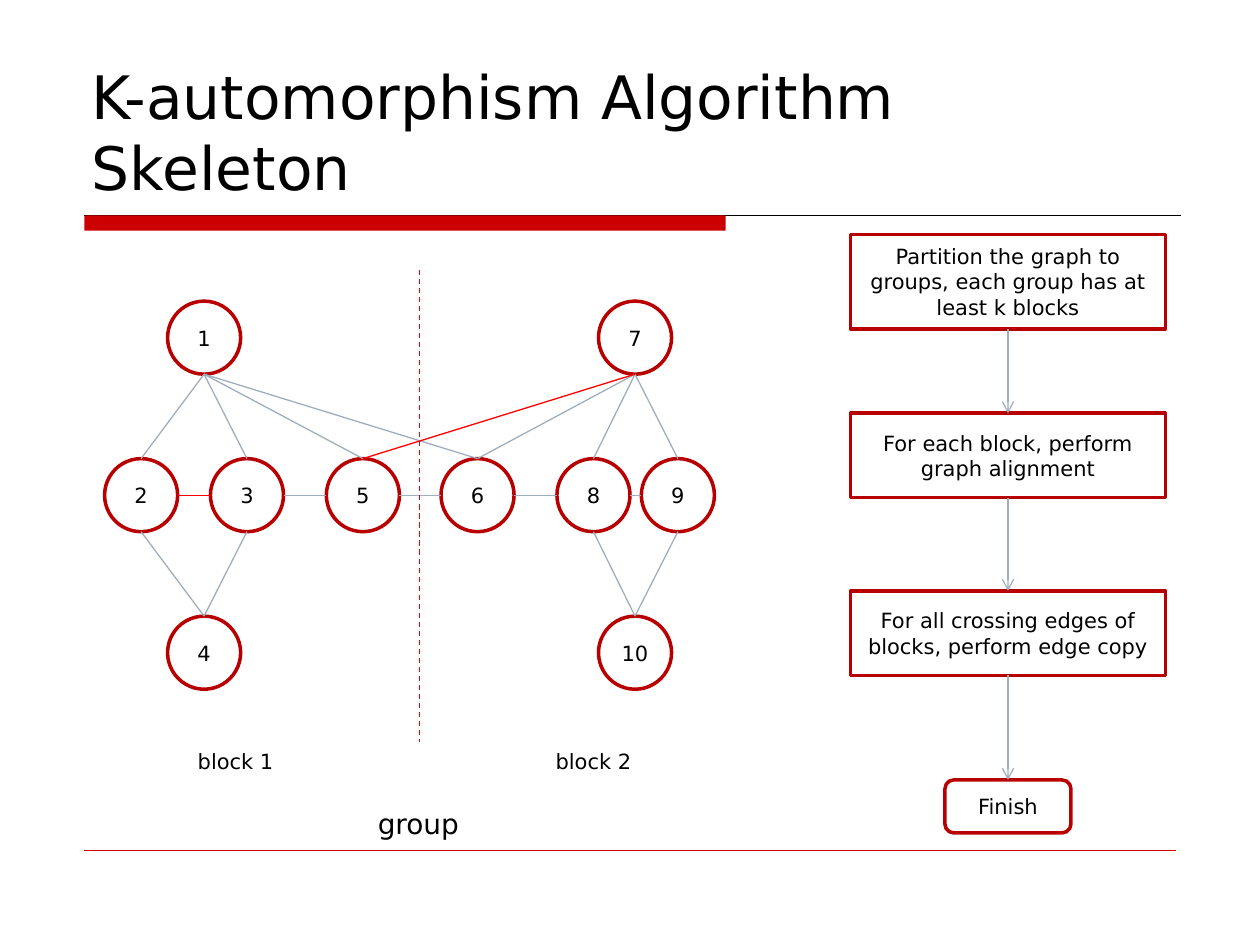
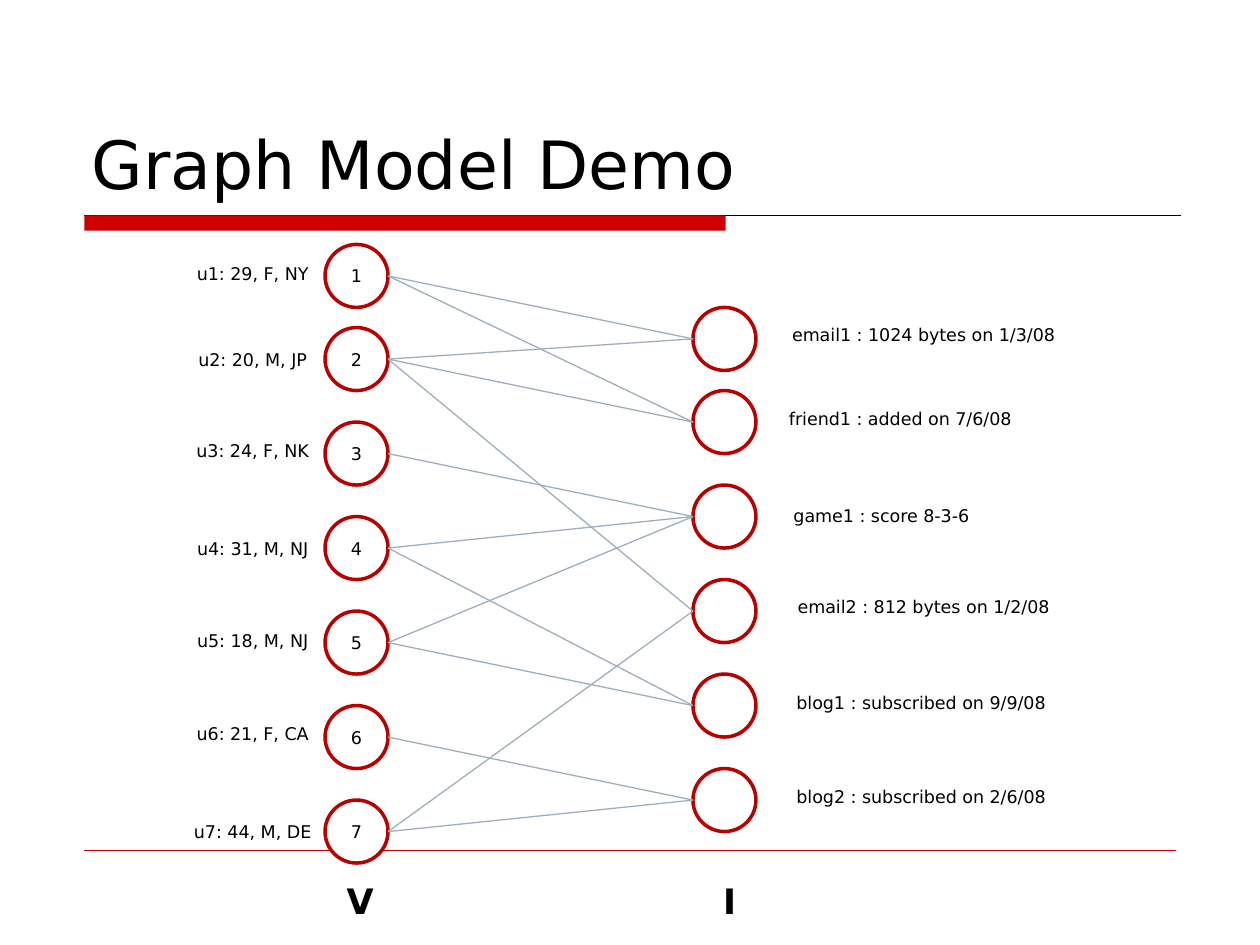
from lxml import etree
from pptx import Presentation
from pptx.dml.color import RGBColor
from pptx.enum import dml, shapes, text
from pptx.oxml.ns import qn
from pptx.util import Inches, Pt

# Shared look
FONT = "DejaVu Sans"
BLACK = RGBColor(0x00, 0x00, 0x00)
WHITE = RGBColor(0xFF, 0xFF, 0xFF)
BAND_RED = RGBColor(0xCC, 0x00, 0x00)
OUTLINE_RED = RGBColor(0xB9, 0x00, 0x00)
BRIGHT_RED = RGBColor(0xFF, 0x00, 0x00)
EDGE_GREY = RGBColor(0x9F, 0xAE, 0xBD)
SHAPE = shapes.MSO_SHAPE

# Slide 1: two mirrored blocks of a graph, and the steps of the algorithm
ROWS = {"top": 2.68, "middle": 3.93, "bottom": 5.18}
GRAPH_NODES = {
    1: (1.62, "top"), 2: (1.12, "middle"), 3: (1.96, "middle"),
    4: (1.62, "bottom"), 5: (2.88, "middle"), 6: (3.79, "middle"),
    7: (5.04, "top"), 8: (4.71, "middle"), 9: (5.38, "middle"),
    10: (5.04, "bottom"),
}
GRAPH_EDGES = [
    (1, 2), (1, 3), (1, 5), (1, 6), (2, 4), (3, 4), (3, 5), (5, 6),
    (7, 6), (7, 8), (7, 9), (8, 10), (9, 10), (6, 8), (8, 9),
]
ADDED_EDGES = [(2, 3), (7, 5)]
GRAPH_NODE_SIZE = 0.58
GRAPH_LABELS = [  # text, left, top, width, height, size
    ("block 1", 1.33, 5.89, 1.08, 0.3, 12),
    ("block 2", 4.17, 5.89, 1.08, 0.3, 12),
    ("group", 2.73, 6.35, 1.18, 0.37, 16),
]
STEP_CENTRE = 8
STEPS = [  # text, shape, top, width, height
    ("Partition the graph to groups, each group has at least k blocks",
     SHAPE.RECTANGLE, 1.86, 2.5, 0.75),
    ("For each block, perform graph alignment", SHAPE.RECTANGLE, 3.28, 2.5, 0.67),
    ("For all crossing edges of blocks, perform edge copy",
     SHAPE.RECTANGLE, 4.69, 2.5, 0.67),
    ("Finish", SHAPE.ROUNDED_RECTANGLE, 6.19, 1, 0.42),
]

# Slide 2: users linked to interactions
USERS = [  # text, top of label
    ("u1: 29, F, NY", 2.04), ("u2: 20, M, JP", 2.72), ("u3: 24, F, NK", 3.44),
    ("u4: 31, M, NJ", 4.22), ("u5: 18, M, NJ", 4.95), ("u6: 21, F, CA", 5.69),
    ("u7: 44, M, DE", 6.47),
]
INTERACTIONS = [  # text, left, top and width of label, linked users
    ("email1 : 1024 bytes on 1/3/08", 6.08, 2.52, 2.5, (1, 2)),
    ("friend1 : added on 7/6/08", 5.98, 3.19, 2.33, (1, 2)),
    ("game1 : score 8-3-6", 5.91, 3.96, 2.17, (3, 4, 5)),
    ("email2 : 812 bytes on 1/2/08", 6.08, 4.68, 2.5, (2, 7)),
    ("blog1 : subscribed on 9/9/08", 6.08, 5.44, 2.46, (4, 5)),
    ("blog2 : subscribed on 2/6/08", 6.04, 6.19, 2.54, (6, 7)),
]
USER_X, INTERACTION_X, MODEL_NODE_SIZE = 2.83, 5.75, 0.5
USER_YS = [2.19] + [2.85 + 0.75 * step for step in range(6)]
INTERACTION_DROP = 0.5
SET_NAMES = [("V", 2.61), ("I", 5.54)]


def write(box, words, size, bold=False, align=text.PP_ALIGN.CENTER,
          anchor=text.MSO_ANCHOR.MIDDLE):
    frame = box.text_frame
    frame.word_wrap = True
    frame.vertical_anchor = anchor
    para = frame.paragraphs[0]
    para.alignment = align
    span = para.add_run()
    span.text = words
    span.font.color.rgb = BLACK
    for name, value in {"name": FONT, "size": Pt(size), "bold": bold}.items():
        setattr(span.font, name, value)


def add_label(page, words, left, top, width, height, size, **style):
    box = page.shapes.add_textbox(*map(Inches, (left, top, width, height)))
    write(box, words, size, **{"anchor": text.MSO_ANCHOR.TOP, **style})


def add_outlined(page, kind, centre_x, top, width, height, words="", size=12):
    """Add a white shape with a red outline, centred on centre_x."""
    box = page.shapes.add_shape(
        kind, *map(Inches, (centre_x - width / 2, top, width, height)))
    box.shadow.inherit = False
    box.fill.solid()
    box.fill.fore_color.rgb = WHITE
    box.line.color.rgb = OUTLINE_RED
    box.line.width = Pt(2)
    if words:
        write(box, words, size)
    return box


def add_node(page, x, y, diameter, words="", size=12):
    add_outlined(page, SHAPE.OVAL, x, y - diameter / 2, diameter, diameter,
                 words, size)


def add_line(page, start, end, color=EDGE_GREY, width=0.75, dash=None):
    line = page.shapes.add_connector(
        shapes.MSO_CONNECTOR.STRAIGHT, *map(Inches, (*start, *end)))
    line.line.color.rgb = color
    line.line.width = Pt(width)
    if dash:
        line.line.dash_style = dash
    etree.SubElement(line._element.spPr, qn("a:effectLst"))
    return line


def add_arrow(page, upper, lower):
    arrow = add_line(page, (0, 0), (0, 0))
    arrow.begin_connect(upper, 2)
    arrow.end_connect(lower, 0)
    etree.SubElement(arrow.line._get_or_add_ln(), qn("a:tailEnd"), type="arrow")


def add_page(deck, title, title_size):
    """Add a slide with the title, the red band and the footer rule."""
    page = deck.slides.add_slide(deck.slide_layouts[6])
    add_line(page, (0.67, 1.71), (9.37, 1.71), BLACK, 0.5)
    band = page.shapes.add_shape(
        SHAPE.RECTANGLE, *map(Inches, (0.67, 1.71, 5.09, 0.12)))
    band.shadow.inherit = False
    band.fill.solid()
    band.fill.fore_color.rgb = BAND_RED
    band.line.fill.background()
    add_line(page, (0.67, 6.75), (9.33, 6.75), BAND_RED, 0.25)
    add_label(page, title, 0.63, 0.33, 8.75, 1.33, title_size,
              align=text.PP_ALIGN.LEFT, anchor=text.MSO_ANCHOR.BOTTOM)
    return page


def add_graph_edge(page, first, second, color):
    """Join neighbours side to side, and rows bottom to top."""
    (x1, row1), (x2, row2) = GRAPH_NODES[first], GRAPH_NODES[second]
    radius = GRAPH_NODE_SIZE / 2
    if row1 == row2:
        start, end = (x1 + radius, ROWS[row1]), (x2 - radius, ROWS[row2])
    else:
        start, end = (x1, ROWS[row1] + radius), (x2, ROWS[row2] - radius)
    add_line(page, start, end, color)


def build_algorithm(deck):
    page = add_page(deck, "K-automorphism Algorithm Skeleton", 34.2)
    boxes = [add_outlined(page, kind, STEP_CENTRE, top, width, height, words)
             for words, kind, top, width, height in STEPS]
    for upper, lower in zip(boxes, boxes[1:]):
        add_arrow(page, upper, lower)
    for number, (x, row) in GRAPH_NODES.items():
        add_node(page, x, ROWS[row], GRAPH_NODE_SIZE, str(number))
    for edges, color in ((GRAPH_EDGES, EDGE_GREY), (ADDED_EDGES, BRIGHT_RED)):
        for first, second in edges:
            add_graph_edge(page, first, second, color)
    add_line(page, (3.33, 2.14), (3.33, 5.89), BRIGHT_RED,
             dash=dml.MSO_LINE.DASH)
    for label in GRAPH_LABELS:
        add_label(page, *label)


def build_model(deck):
    page = add_page(deck, "Graph Model Demo", 38)
    radius = MODEL_NODE_SIZE / 2
    for number, ((words, top), y) in enumerate(zip(USERS, USER_YS), 1):
        add_node(page, USER_X, y, MODEL_NODE_SIZE, str(number), 10)
        add_label(page, words, 1.38, top, 1.25, 0.27, 10)
    for (words, left, top, width, users), user_y in zip(INTERACTIONS, USER_YS):
        y = user_y + INTERACTION_DROP
        add_node(page, INTERACTION_X, y, MODEL_NODE_SIZE)
        add_label(page, words, left, top, width, 0.27, 10)
        for user in users:
            add_line(page, (USER_X + radius, USER_YS[user - 1]),
                     (INTERACTION_X - radius, y))
    for name, left in SET_NAMES:
        add_label(page, name, left, 6.93, 0.5, 0.44, 20, bold=True)


def main():
    deck = Presentation()
    deck.slide_width, deck.slide_height = Inches(10), Inches(7.5)
    build_algorithm(deck)
    build_model(deck)
    deck.save("out.pptx")


if __name__ == "__main__":
    main()
